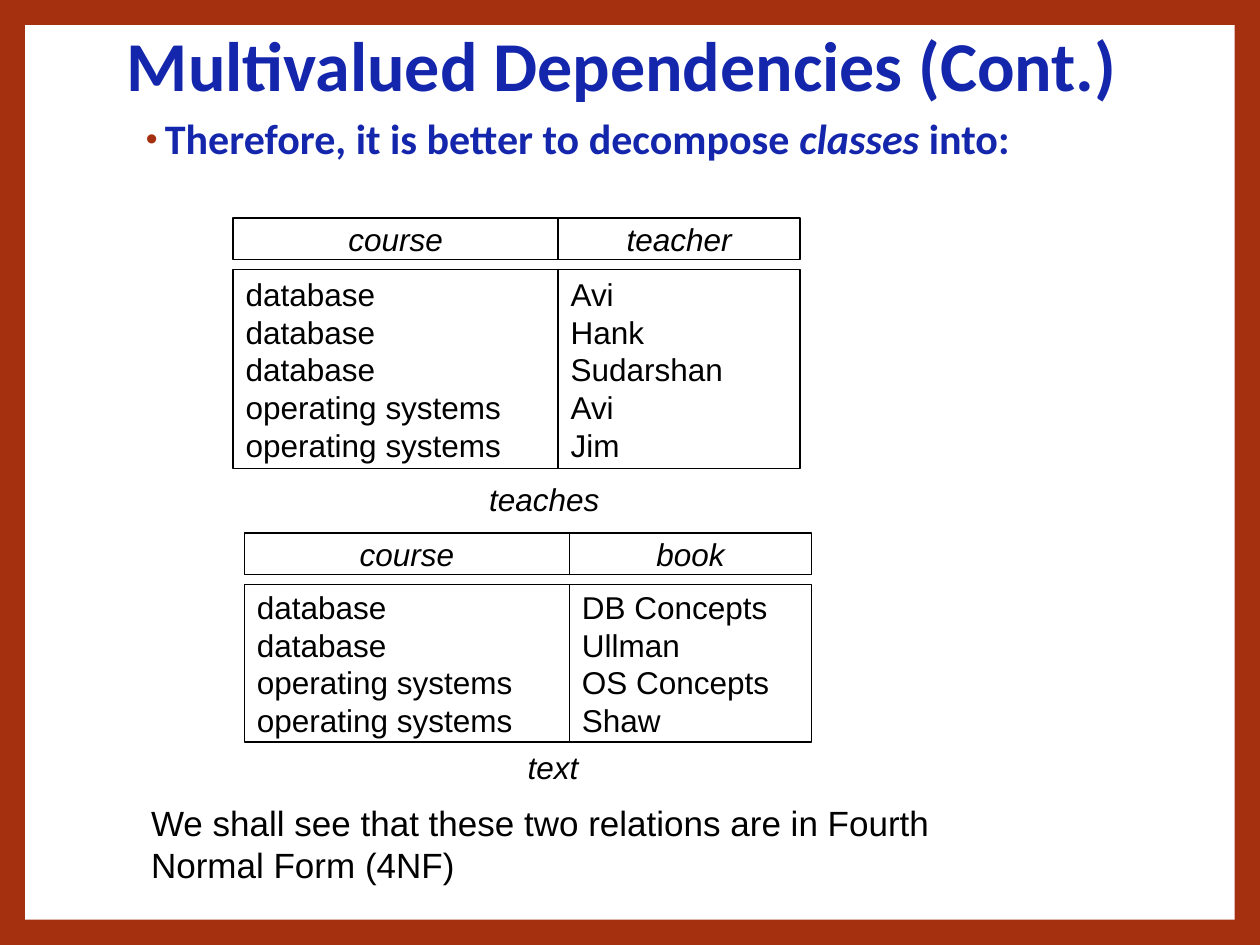
from lxml import etree
from pptx import Presentation
from pptx.dml.color import RGBColor
from pptx.enum import shapes, text
from pptx.oxml.ns import qn
from pptx.util import Inches, Pt

RUST = RGBColor(0xA5, 0x30, 0x0F)
BLUE = RGBColor(0x14, 0x26, 0xAC)
BLACK = RGBColor(0, 0, 0)
WHITE = RGBColor(255, 255, 255)
LEFT, CENTER = text.PP_ALIGN.LEFT, text.PP_ALIGN.CENTER
TOP, MIDDLE = text.MSO_ANCHOR.TOP, text.MSO_ANCHOR.MIDDLE

presentation = Presentation()
presentation.slide_width, presentation.slide_height = Inches(10), Inches(7.5)
slide = presentation.slides.add_slide(presentation.slide_layouts[6])


def add_rectangle(left, top, width, height, line_color=None):
    shape = slide.shapes.add_shape(
        shapes.MSO_SHAPE.RECTANGLE,
        Inches(left), Inches(top), Inches(width), Inches(height))
    shape.shadow.inherit = False
    shape.fill.solid()
    shape.fill.fore_color.rgb = WHITE
    if line_color is None:
        shape.line.fill.background()
    else:
        shape.line.color.rgb = line_color
        shape.line.width = Pt(0.75)
    return shape


def write(shape, lines, size, color=BLACK, font="Arial", bold=False,
          align=LEFT, anchor=MIDDLE, wrap=False):
    """Each line is a list of (wording, italic) runs."""
    frame = shape.text_frame
    frame.word_wrap = wrap
    frame.vertical_anchor = anchor
    for index, runs in enumerate(lines):
        paragraph = frame.add_paragraph() if index else frame.paragraphs[0]
        paragraph.alignment = align
        for wording, italic in runs:
            run = paragraph.add_run()
            run.text = wording
            run.font.size = Pt(size)
            run.font.name = font
            run.font.bold = bold
            run.font.italic = italic
            run.font.color.rgb = color
    return frame.paragraphs[0]


# Rust border around a white page
slide.background.fill.solid()
slide.background.fill.fore_color.rgb = RUST
add_rectangle(0.2, 0.2, 9.6, 7.1)

# Title
title = slide.shapes.add_textbox(Inches(0.91), Inches(0.2), Inches(8.64), Inches(0.69))
paragraph = write(title, [[("Multivalued Dependencies (Cont.)", False)]], 40,
                  BLUE, "Calibri", bold=True, wrap=True)
paragraph.line_spacing = 0.9

# Bulleted statement
statement = slide.shapes.add_textbox(Inches(1.02), Inches(0.89), Inches(7.35), Inches(0.58))
paragraph = write(statement, [[("Therefore, it is better to decompose ", False),
                               ("classes ", True), ("into:", False)]],
                  24, BLUE, "Calibri", bold=True, anchor=TOP, wrap=True)
paragraph.line_spacing = 0.9
properties = paragraph._p.get_or_add_pPr()
properties.set("marL", str(Inches(0.19)))
properties.set("indent", str(Inches(-0.15)))
bullet_color = etree.SubElement(properties, qn("a:buClr"))
etree.SubElement(bullet_color, qn("a:srgbClr"), val=str(RUST))
etree.SubElement(properties, qn("a:buSzPct"), val="80000")
etree.SubElement(properties, qn("a:buFont"), typeface="Arial")
etree.SubElement(properties, qn("a:buChar"), char="•")

# Two relations: a header row, a body below it and a caption
COLUMN_WIDTHS = (2.58, 1.92)
HEADER_HEIGHT, BODY_OFFSET, CAPTION_HEIGHT = 0.33, 0.41, 0.4
relations = [
    (1.85, 1.73, 1.58, "teaches", 3.78, 3.76, 1.08, {
        "course": ["database"] * 3 + ["operating systems"] * 2,
        "teacher": ["Avi", "Hank", "Sudarshan", "Avi", "Jim"]}),
    (1.94, 4.23, 1.25, "text", 4.09, 5.89, 0.6, {
        "course": ["database"] * 2 + ["operating systems"] * 2,
        "book": ["DB Concepts", "Ullman", "OS Concepts", "Shaw"]}),
]
for (left, top, body_height, caption, caption_left, caption_top,
     caption_width, columns) in relations:
    for (heading, values), width in zip(columns.items(), COLUMN_WIDTHS):
        header = add_rectangle(left, top, width, HEADER_HEIGHT, BLACK)
        write(header, [[(heading, True)]], 18, align=CENTER)
        body = add_rectangle(left, top + BODY_OFFSET, width, body_height, BLACK)
        write(body, [[(value, False)] for value in values], 18)
        left += width
    label = slide.shapes.add_textbox(Inches(caption_left), Inches(caption_top),
                                     Inches(caption_width), Inches(CAPTION_HEIGHT))
    write(label, [[(caption, True)]], 18, align=CENTER)

# Closing remark
remark = slide.shapes.add_textbox(Inches(1.1), Inches(6.31), Inches(7.35), Inches(0.58))
write(remark, [[("We shall see that these two relations are in Fourth Normal Form (4NF)",
                 False)]], 20, anchor=TOP, wrap=True)

presentation.save("out.pptx")
